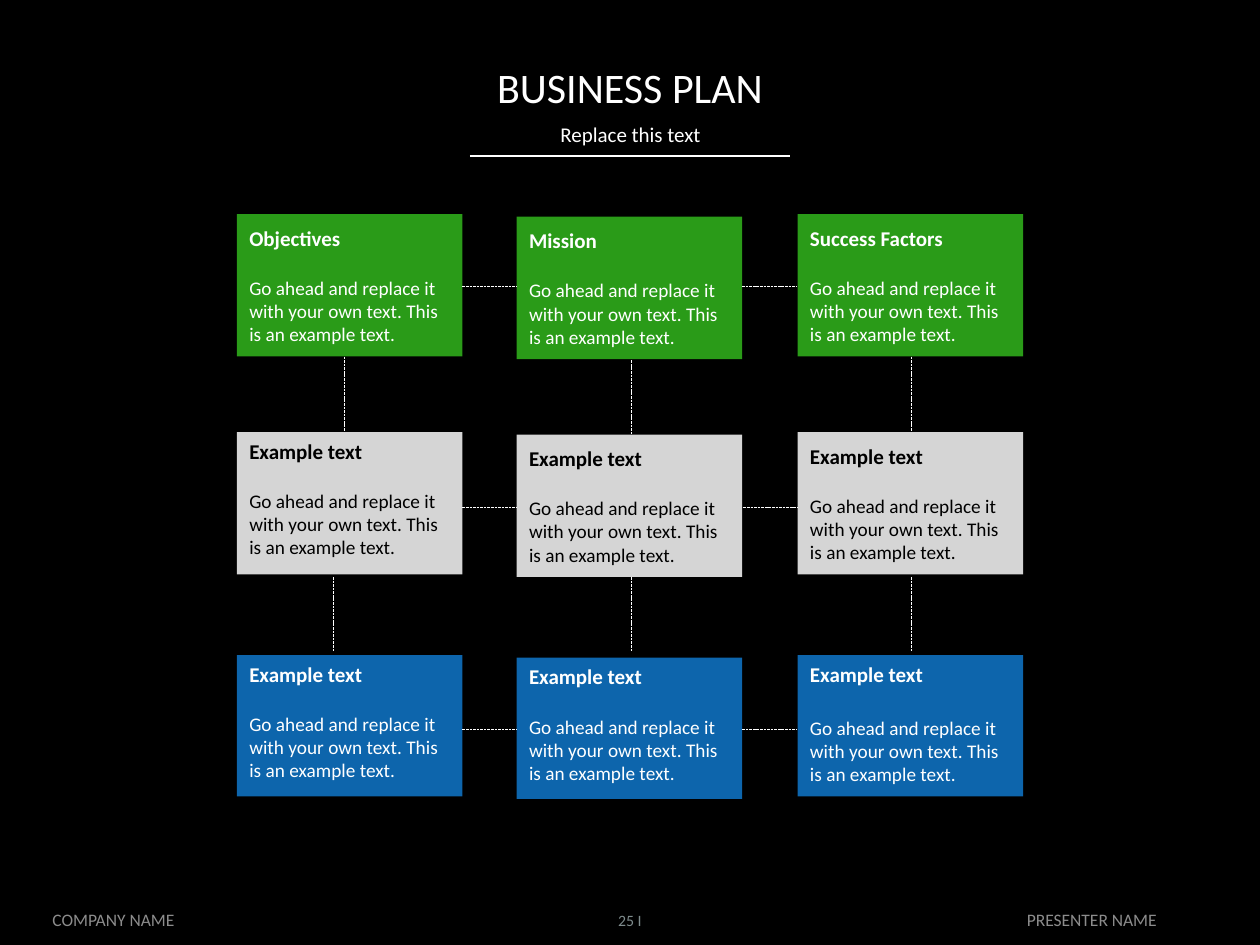
from dataclasses import dataclass

from lxml import etree
from pptx import Presentation
from pptx.dml.color import RGBColor
from pptx.enum import dml, shapes, text
from pptx.oxml import ns
from pptx.util import Inches, Pt

BLACK = RGBColor(0x00, 0x00, 0x00)
WHITE = RGBColor(0xFF, 0xFF, 0xFF)
GREEN = RGBColor(0x2A, 0x9B, 0x18)
SILVER = RGBColor(0xD5, 0xD5, 0xD5)
BLUE = RGBColor(0x0D, 0x65, 0xAC)
FOOTER_GRAY = RGBColor(0x8C, 0x8C, 0x8C)
NUMBER_GRAY = RGBColor(0x7F, 0x8C, 0x8D)

FONT = "Calibri"
BODY = "Go ahead and replace it with your own text. This is an example text."
CARD_WIDTH = 1.79
COLUMN_LEFTS = (1.88, 4.1, 6.33)
COLUMN_DROPS = (0, 0.02, 0)
TOP, MIDDLE = text.MSO_ANCHOR.TOP, text.MSO_ANCHOR.MIDDLE
LEFT, CENTER = text.PP_ALIGN.LEFT, text.PP_ALIGN.CENTER


@dataclass(frozen=True)
class Row:
    top: float
    height: float
    fill: RGBColor
    ink: RGBColor
    headings: tuple[str, ...]
    anchors: tuple
    body_gaps: tuple[float, ...] = (14.65, 14.65, 14.65)


@dataclass(frozen=True)
class Label:
    wording: str
    box: tuple[float, float, float, float]
    size: float
    color: RGBColor
    anchor: text.MSO_ANCHOR = MIDDLE
    line_spacing: float = 1.0


ROWS = (
    Row(1.7, 1.13, GREEN, WHITE, ("Objectives", "Mission", "Success Factors"),
        (MIDDLE, MIDDLE, MIDDLE)),
    Row(3.43, 1.13, SILVER, BLACK, ("Example text",) * 3, (TOP, MIDDLE, MIDDLE)),
    Row(5.2, 1.12, BLUE, WHITE, ("Example text",) * 3, (TOP, TOP, TOP),
        (14.65, 14.65, 17.1)),
)

LABELS = (
    Label("Replace this text", (0.69, 0.95, 8.63, 0.28), 12, WHITE, TOP, 0.8),
    Label("PRESENTER NAME", (7.5, 7.09, 2.33, 0.42), 10, FOOTER_GRAY),
    Label("COMPANY NAME", (0.17, 7.09, 1.46, 0.42), 10, FOOTER_GRAY),
    Label("25 I", (4.75, 7.1, 0.5, 0.4), 9, NUMBER_GRAY),
)

# Horizontal links: left ends for each row, by column gap
LINK_ROWS = ((2.27, (3.67, 5.89)), (4.03, (3.67, 5.9)), (5.79, (3.67, 5.89)))
LINK_WIDTH = 0.43
# Vertical links: (x, top) pairs
LINK_DROPS = ((2.73, 2.83), (5.01, 2.86), (7.23, 2.83),
              (2.65, 4.58), (5.01, 4.58), (7.23, 4.58))
LINK_HEIGHT = 0.59


def write(paragraph, wording: str, *, size: float, color: RGBColor, bold=False,
          align=LEFT, before: float = 0, line_spacing: float = 1.0) -> None:
    paragraph.alignment = align
    paragraph.line_spacing = line_spacing
    if before:
        paragraph.space_before = Pt(before)
    run = paragraph.add_run()
    run.text = wording
    run.font.name = FONT
    run.font.size = Pt(size)
    run.font.bold = bold
    run.font.color.rgb = color


def draw_line(slide, start: tuple[float, float], end: tuple[float, float],
              width: float, dash=None) -> None:
    line = slide.shapes.add_connector(
        shapes.MSO_CONNECTOR.STRAIGHT, *map(Inches, start + end))
    line.line.color.rgb = WHITE
    line.line.width = Pt(width)
    if dash is not None:
        line.line.dash_style = dash
    etree.SubElement(line._element.spPr, ns.qn("a:effectLst"))


def draw_label(slide, label: Label) -> None:
    frame = slide.shapes.add_textbox(*map(Inches, label.box)).text_frame
    frame.word_wrap = True
    frame.vertical_anchor = label.anchor
    write(frame.paragraphs[0], label.wording, size=label.size, color=label.color,
          align=CENTER, line_spacing=label.line_spacing)


def draw_card(slide, row: Row, column: int) -> None:
    card = slide.shapes.add_shape(
        shapes.MSO_SHAPE.RECTANGLE, Inches(COLUMN_LEFTS[column]),
        Inches(row.top + COLUMN_DROPS[column]), Inches(CARD_WIDTH), Inches(row.height))
    card.shadow.inherit = False
    card.fill.solid()
    card.fill.fore_color.rgb = row.fill
    card.line.fill.background()
    frame = card.text_frame
    frame.word_wrap = True
    frame.vertical_anchor = row.anchors[column]
    write(frame.paragraphs[0], row.headings[column], size=12, color=row.ink, bold=True)
    write(frame.add_paragraph(), BODY, size=11, color=row.ink,
          before=row.body_gaps[column])


def draw_title(slide) -> None:
    title = slide.shapes.title
    title.left, title.top, title.width, title.height = map(
        Inches, (0.69, 0.44, 8.62, 0.5))
    frame = title.text_frame
    frame.auto_size = text.MSO_AUTO_SIZE.NONE
    frame.vertical_anchor = MIDDLE
    write(frame.paragraphs[0], "BUSINESS PLAN", size=24, color=WHITE, align=CENTER)


def main() -> None:
    deck = Presentation()
    deck.slide_width, deck.slide_height = Inches(10), Inches(7.5)
    slide = deck.slides.add_slide(deck.slide_layouts[5])
    slide.background.fill.solid()
    slide.background.fill.fore_color.rgb = BLACK

    draw_title(slide)
    draw_line(slide, (3.73, 1.24), (6.27, 1.24), 1)
    for label in LABELS:
        draw_label(slide, label)

    for column in range(len(COLUMN_LEFTS)):
        for row in ROWS:
            draw_card(slide, row, column)

    dash = dml.MSO_LINE.SQUARE_DOT
    for y, lefts in LINK_ROWS:
        for left in lefts:
            draw_line(slide, (left, y), (left + LINK_WIDTH, y), 0.5, dash)
    for x, top in LINK_DROPS:
        draw_line(slide, (x, top), (x, top + LINK_HEIGHT), 0.5, dash)

    deck.save("out.pptx")


if __name__ == "__main__":
    main()
